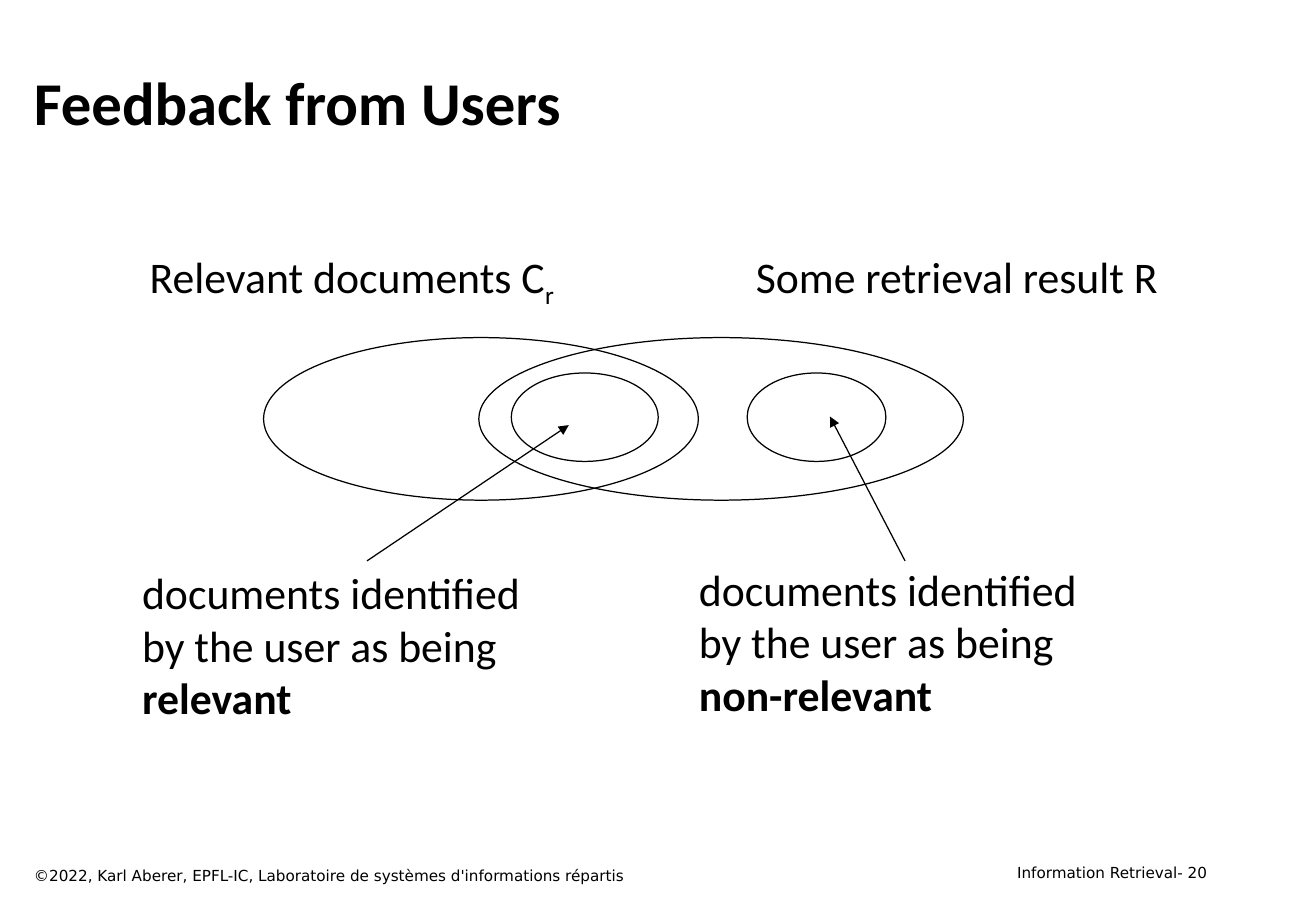
import dataclasses
import typing

import pptx
import pptx.dml.color
import pptx.enum.shapes
import pptx.enum.text
import pptx.oxml
import pptx.oxml.ns
import pptx.presentation
import pptx.slide
import pptx.util

Cm = pptx.util.Cm
Pt = pptx.util.Pt
ALIGN = pptx.enum.text.PP_ALIGN
ANCHOR = pptx.enum.text.MSO_ANCHOR


@dataclasses.dataclass(frozen=True)
class Theme:
    ink: pptx.dml.color.RGBColor = pptx.dml.color.RGBColor(0, 0, 0)
    body_font: str = "Calibri"
    footer_font: str = "DejaVu Sans"
    title_size: float = 36
    label_size: float = 25.9
    footer_size: float = 9
    line_width: float = 0.75


THEME = Theme()


class Box(typing.NamedTuple):
    """Left, top, width and height in centimetres."""
    left: float
    top: float
    width: float
    height: float

    def lengths(self) -> list[pptx.util.Length]:
        return [Cm(value) for value in self]


class Piece(typing.NamedTuple):
    text: str
    bold: bool = False
    subscript: bool = False


class Label(typing.NamedTuple):
    box: Box
    paragraphs: list[list[Piece]]
    wrap: bool


class Arrow(typing.NamedTuple):
    """Start and tip coordinates in centimetres."""
    start_x: float
    start_y: float
    tip_x: float
    tip_y: float


SET_TOP, SET_HEIGHT = 7.06, 3.4
JUDGED_TOP, JUDGED_HEIGHT = 7.8, 1.85
ELLIPSES = [
    Box(5.51, SET_TOP, 9.09, SET_HEIGHT),
    Box(10.01, SET_TOP, 10.13, SET_HEIGHT),
    Box(10.69, JUDGED_TOP, 3.07, JUDGED_HEIGHT),
    Box(15.62, JUDGED_TOP, 2.9, JUDGED_HEIGHT),
]
ARROWS = [Arrow(7.67, 11.73, 11.89, 8.89), Arrow(18.92, 11.73, 17.35, 8.71)]


def judged_as(verdict: str) -> list[list[Piece]]:
    return [
        [Piece("documents identified")],
        [Piece("by the user as being "), Piece(verdict, bold=True)],
    ]


LABELS = [
    Label(Box(2.9, 5.11, 8.97, 1.32),
          [[Piece("Relevant documents C"), Piece("r", subscript=True)]], False),
    Label(Box(15.57, 5.11, 8.89, 1.32), [[Piece("Some retrieval result R")]], False),
    Label(Box(2.74, 11.73, 9.12, 3.53), judged_as("relevant"), True),
    Label(Box(14.38, 11.66, 9.37, 3.53), judged_as("non-relevant"), True),
]


def add_text(
    slide: pptx.slide.Slide,
    box: Box,
    paragraphs: list[list[Piece]],
    *,
    size: float,
    font: str = THEME.body_font,
    align: ALIGN = ALIGN.LEFT,
    anchor: ANCHOR = ANCHOR.TOP,
    wrap: bool = True,
    inset_x: float = 0.25,
    inset_y: float = 0.13,
) -> None:
    frame = slide.shapes.add_textbox(*box.lengths()).text_frame
    frame.word_wrap = wrap
    frame.vertical_anchor = anchor
    frame.margin_left = frame.margin_right = Cm(inset_x)
    frame.margin_top = frame.margin_bottom = Cm(inset_y)
    for index, pieces in enumerate(paragraphs):
        paragraph = frame.add_paragraph() if index else frame.paragraphs[0]
        paragraph.alignment = align
        for piece in pieces:
            run = paragraph.add_run()
            run.text = piece.text
            run.font.name = font
            run.font.size = Pt(size)
            run.font.bold = piece.bold
            run.font.color.rgb = THEME.ink
            if piece.subscript:
                run.font._element.set("baseline", "-25000")


def add_ellipse(slide: pptx.slide.Slide, box: Box) -> None:
    shape = slide.shapes.add_shape(
        pptx.enum.shapes.MSO_SHAPE.OVAL, *box.lengths())
    shape.shadow.inherit = False
    shape.fill.background()
    shape.line.color.rgb = THEME.ink
    shape.line.width = Pt(THEME.line_width)


def add_arrow(slide: pptx.slide.Slide, arrow: Arrow) -> None:
    connector = slide.shapes.add_connector(
        pptx.enum.shapes.MSO_CONNECTOR.STRAIGHT, *[Cm(value) for value in arrow])
    connector.line.color.rgb = THEME.ink
    connector.line.width = Pt(THEME.line_width)
    tail = pptx.oxml.parse_xml(
        f'<a:tailEnd {pptx.oxml.ns.nsdecls("a")} type="triangle"/>')
    connector.line._get_or_add_ln().append(tail)
    connector._element.spPr.append(
        pptx.oxml.parse_xml(f'<a:effectLst {pptx.oxml.ns.nsdecls("a")}/>'))


def add_footers(slide: pptx.slide.Slide) -> None:
    add_text(slide, Box(19.74, 17.93, 5.74, 0.64),
             [[Piece("Information Retrieval- 20")]],
             size=THEME.footer_size, font=THEME.footer_font, align=ALIGN.RIGHT)
    add_text(slide, Box(0.46, 17.98, 17.65, 0.64),
             [[Piece("©2022, Karl Aberer, EPFL-IC, "
                     "Laboratoire de systèmes d'informations répartis")]],
             size=THEME.footer_size, font=THEME.footer_font)


def main() -> None:
    presentation = pptx.Presentation()
    presentation.slide_width = Cm(27.51)
    presentation.slide_height = Cm(19.05)
    slide = presentation.slides.add_slide(presentation.slide_layouts[6])

    add_text(slide, Box(0.46, 0.84, 24.99, 2.54),
             [[Piece("Feedback from Users", bold=True)]],
             size=THEME.title_size, anchor=ANCHOR.MIDDLE)
    add_footers(slide)
    for ellipse in ELLIPSES:
        add_ellipse(slide, ellipse)
    for label in LABELS:
        add_text(slide, label.box, label.paragraphs, size=THEME.label_size,
                 wrap=label.wrap, inset_x=0.23, inset_y=0.11)
    for arrow in ARROWS:
        add_arrow(slide, arrow)

    presentation.save("out.pptx")


if __name__ == "__main__":
    main()
